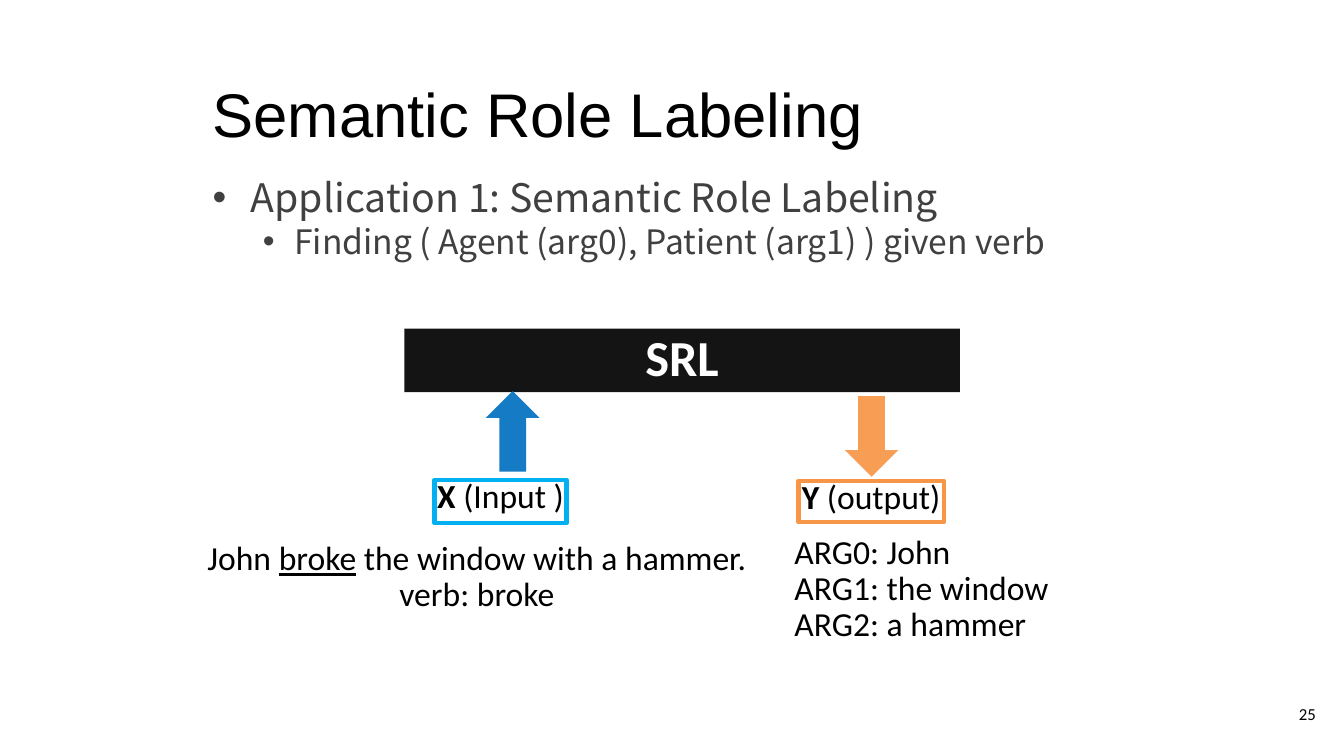
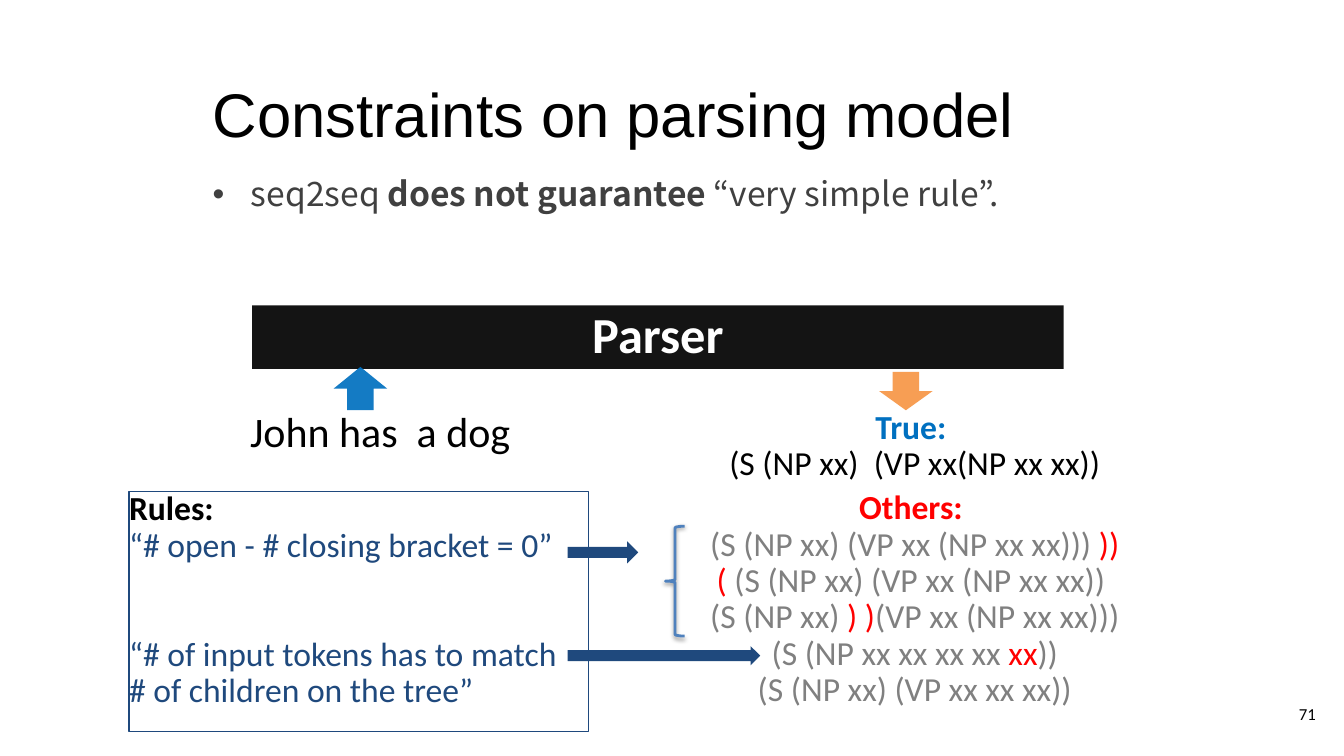
from lxml import etree
from pptx import Presentation
from pptx.dml.color import RGBColor
from pptx.enum.shapes import MSO_SHAPE as Preset
from pptx.enum.text import MSO_ANCHOR as Anchor, PP_ALIGN as Align
from pptx.oxml.ns import qn
from pptx.util import Inches, Pt

color = RGBColor.from_string

BLACK, WHITE, RED, GRAY = "000000", "FFFFFF", "FF0000", "808080"
BODY_GRAY, NAVY, BLUE, ORANGE = "404040", "1F497D", "0070C0", "F79646"
SKY, BRACE_BLUE = "00B0F0", "4F81BD"
# Bullet levels: text size, left margin, hanging indent
LEVEL_1, LEVEL_1_SMALL, LEVEL_2 = (28, 0.38, 0.38), (24, 0.38, 0.38), (24, 0.81, 0.31)


def add_box(slide, preset, bounds, fill=None, opacity=100, line=None, line_width=1):
    """Add a preset shape, or a text box when preset is None."""
    bounds = [Inches(value) for value in bounds]
    if preset is None:
        return slide.shapes.add_textbox(*bounds)
    shape = slide.shapes.add_shape(preset, *bounds)
    shape.shadow.inherit = False
    if fill:
        shape.fill.solid()
        shape.fill.fore_color.rgb = color(fill)
        if opacity < 100:
            tint = shape._element.spPr.find(qn("a:solidFill"))[0]
            etree.SubElement(tint, qn("a:alpha"), val=str(opacity * 1000))
    else:
        shape.fill.background()
    if line:
        shape.line.color.rgb = color(line)
        shape.line.width = Pt(line_width)
    else:
        shape.line.fill.background()
    return shape


def write(shape, paragraphs, size=24, ink=BLACK, font="Calibri", bold=None, align=Align.LEFT,
          anchor=Anchor.TOP, inset=0, wrap=True, spacing=0.9, levels=()):
    """Fill a shape; a paragraph is a list of (text, font overrides) runs."""
    frame = shape.text_frame
    frame.word_wrap = wrap
    frame.vertical_anchor = anchor
    frame.margin_left = frame.margin_right = Inches(inset)
    frame.margin_top = frame.margin_bottom = Inches(inset)
    for index, runs in enumerate(paragraphs):
        paragraph = frame.paragraphs[0] if index == 0 else frame.add_paragraph()
        paragraph_size = size
        if levels:
            paragraph_size, left, hanging = levels[index]
            paragraph.level = index
            properties = paragraph._p.get_or_add_pPr()
            properties.set("marL", str(Inches(left)))
            properties.set("indent", str(-Inches(hanging)))
            etree.SubElement(properties, qn("a:buFont"), typeface="Arial")
            etree.SubElement(properties, qn("a:buChar"), char="•")
        paragraph.alignment = align
        paragraph.line_spacing = spacing
        paragraph.font.name = font
        paragraph.font.size = Pt(paragraph_size)
        paragraph.font.bold = bold
        paragraph.font.color.rgb = color(ink)
        for text, look in runs:
            if text == "\n":
                paragraph.add_line_break()
                continue
            run = paragraph.add_run()
            run.text = text
            if "ink" in look:
                run.font.color.rgb = color(look["ink"])
            if "bold" in look:
                run.font.bold = look["bold"]
            if "underline" in look:
                run.font.underline = look["underline"]
    return frame


presentation = Presentation()
presentation.slide_width, presentation.slide_height = Inches(13.33), Inches(7.5)
bold, red = {"bold": True}, {"ink": RED}

# Parts common to both slides: title, bullets, number, model bar, arrows in and out
pages = [
    ("Semantic Role Labeling", "25",
     [[("Application 1: Semantic Role Labeling", {})],
      [("Finding ( Agent (arg0), Patient (arg1) ) given verb", {})]],
     (LEVEL_1, LEVEL_2),
     "SRL", (4.01, 3.26, 5.51, 0.63), (4.82, 3.88, 0.53, 0.8), (8.38, 3.93, 0.53, 0.8)),
    ("Constraints on parsing model", "71",
     [[("seq2seq ", {}), ("does not guarantee ", bold), ("“very simple rule”.", {})]],
     (LEVEL_1_SMALL,),
     "Parser", (2.5, 3.03, 8.05, 0.63), (3.31, 3.64, 0.53, 0.43), (8.72, 3.69, 0.53, 0.38)),
]
slides = []
for title, number, bullets, levels, model, bar, arrow_in, arrow_out in pages:
    slide = presentation.slides.add_slide(presentation.slide_layouts[6])
    slides.append(slide)
    write(add_box(slide, None, (2.01, 1.62, 9.32, 4.98)), bullets, ink=BODY_GRAY,
          font="Noto Sans CJK KR", inset=0.1, spacing=1, levels=levels)
    write(add_box(slide, None, (12.35, 6.8, 0.8, 0.57)), [[(number, {})]], size=12,
          align=Align.RIGHT, anchor=Anchor.MIDDLE, inset=0.1, spacing=1)
    write(add_box(slide, None, (2.01, 0.65, 9.66, 0.84)), [[(title, {})]], size=44,
          font="Arial", inset=0.1, spacing=1)
    write(add_box(slide, Preset.RECTANGLE, bar, BLACK, 92), [[(model, {})]], size=36,
          ink=WHITE, bold=True, align=Align.CENTER, anchor=Anchor.MIDDLE, inset=0.04)
    add_box(slide, Preset.UP_ARROW, arrow_in, BLUE, 92)
    add_box(slide, Preset.DOWN_ARROW, arrow_out, ORANGE, 92)
labeling_slide, parsing_slide = slides

# Semantic role labeling: input and output labels
for bounds, outline, symbol, meaning in [
    ((4.31, 4.76, 1.31, 0.43), SKY, "X", " (Input )"),
    ((7.92, 4.77, 1.44, 0.41), ORANGE, "Y", " (output)"),
]:
    label = add_box(labeling_slide, Preset.RECTANGLE, bounds, line=outline, line_width=3)
    write(label, [[(symbol, bold), (meaning, {})]], align=Align.CENTER, wrap=False)

# Semantic role labeling: example sentence and its arguments
sentence = write(
    add_box(labeling_slide, None, (1.93, 5.33, 5.6, 0.8)),
    [[("John ", {}), ("broke", {"underline": True}), (" the window with a hammer.", {})],
     [("verb: broke", {})]],
    align=Align.CENTER)
sentence.paragraphs[0].line_spacing = 1
write(add_box(labeling_slide, None, (7.88, 5.31, 2.8, 1.29)),
      [[(text, {})] for text in ("ARG0: John", "ARG1: the window", "ARG2: a hammer")])

# Parsing: input sentence, true tree and other trees
write(add_box(parsing_slide, None, (2.48, 4.08, 2.69, 0.66)), [[("John has  a dog", {})]],
      size=30)
write(add_box(parsing_slide, None, (6.41, 4.02, 5.25, 0.82)),
      [[("True:", {"ink": BLUE, "bold": True})], [(" (S (NP xx)  (VP xx(NP xx xx))", {})]],
      align=Align.CENTER, anchor=Anchor.MIDDLE)
write(add_box(parsing_slide, None, (6.41, 4.87, 5.25, 2.07)),
      [[("Others:", {"ink": RED, "bold": True})],
       [(" (S (NP xx) (VP xx (NP xx xx))) ", {}), ("))", red)],
       [("( ", red), ("(S (NP xx) (VP xx (NP xx xx))", {})],
       [(" (S (NP xx)", {}), (" ) )", red), ("(VP xx (NP xx xx)))", {})],
       [(" (S (NP xx xx xx xx ", {}), ("xx", red), ("))", {})],
       [(" (S (NP xx) (VP xx xx xx))", {})]],
      ink=GRAY, align=Align.CENTER)

# Parsing: rules, with a gap of two lines between them
rules = write(
    add_box(parsing_slide, Preset.RECTANGLE, (1.28, 4.88, 4.56, 2.38), line=NAVY, line_width=0.75),
    [[("Rules:", {"ink": BLACK, "bold": True})],
     [("“# open - # closing bracket = 0”", {})],
     [("“# of input tokens has to match", {}), ("\n", {}), ("# of children on the tree”", {})]],
    ink=NAVY)
rules.paragraphs[2].space_before = Pt(52)

# Parsing: brace with a soft shadow
brace = add_box(parsing_slide, Preset.LEFT_BRACE, (6.6, 5.22, 0.19, 1.09),
                line=BRACE_BLUE, line_width=2)
effects = brace._element.spPr.find(qn("a:effectLst"))
shadow = etree.SubElement(effects, qn("a:outerShdw"), blurRad=str(Pt(3.1)), dist=str(Pt(1.6)),
                          dir="5400000", rotWithShape="0")
shadow_color = etree.SubElement(shadow, qn("a:srgbClr"), val=BLACK)
etree.SubElement(shadow_color, qn("a:alpha"), val="38000")

# Parsing: arrows from the rules to the trees that break them
add_box(parsing_slide, Preset.RIGHT_ARROW, (5.63, 5.37, 0.7, 0.22), NAVY)
long_arrow = add_box(parsing_slide, Preset.RIGHT_ARROW, (5.63, 6.41, 1.91, 0.19), NAVY)
long_arrow.adjustments[0] = 0.58

presentation.save("out.pptx")
